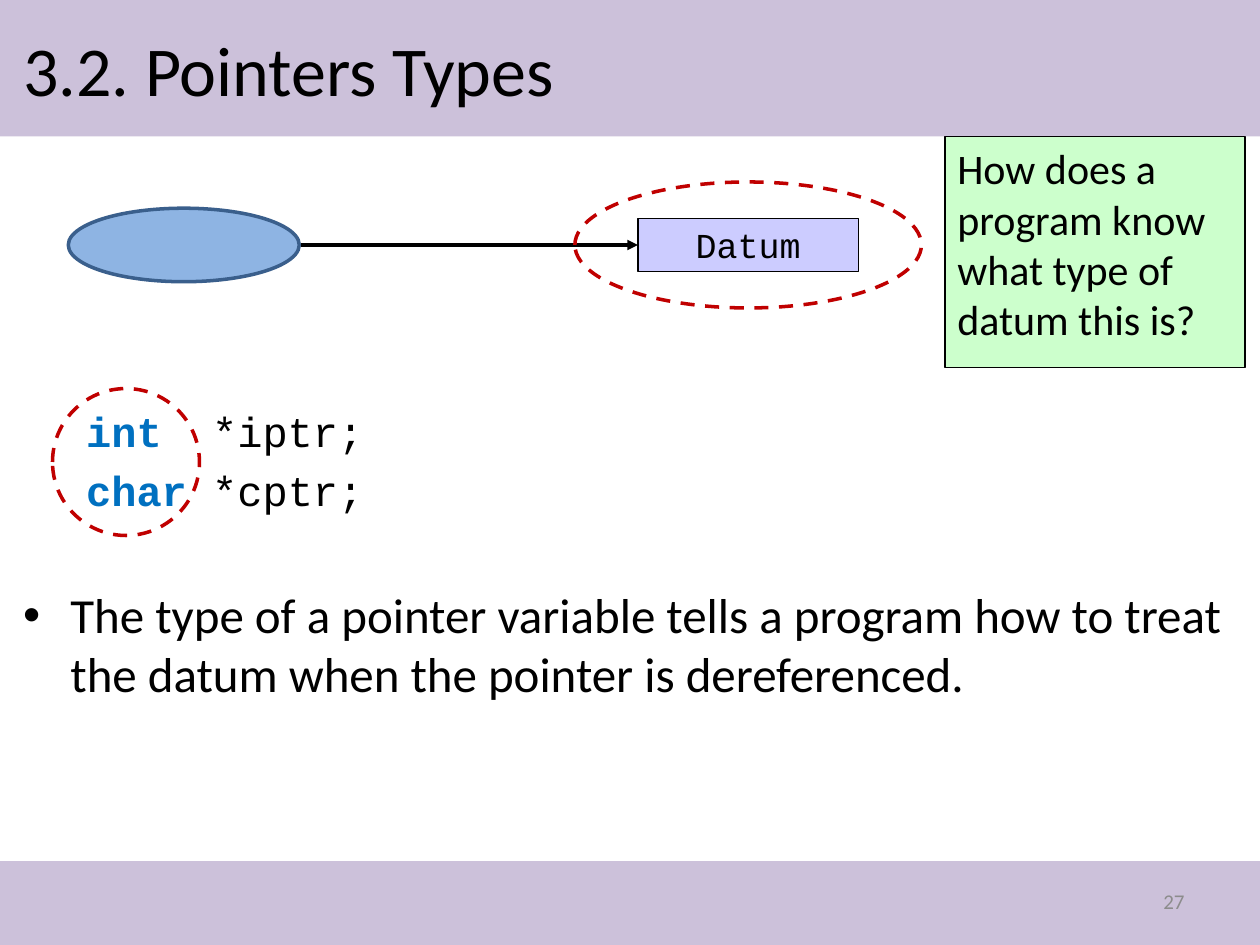
import lxml.etree
import pptx
import pptx.dml.color
import pptx.enum.dml
import pptx.enum.shapes
import pptx.enum.text
import pptx.oxml.ns
import pptx.util

Pt = pptx.util.Pt
SHAPE = pptx.enum.shapes.MSO_SHAPE
ALIGN = pptx.enum.text.PP_ALIGN
ANCHOR = pptx.enum.text.MSO_ANCHOR
BODY_FONT, CODE_FONT = "Calibri", "Courier New"
BLACK, BLUE, RED, LILAC = "000000", "0070C0", "C00000", "CCC1DA"


def rgb(value):
    return pptx.dml.color.RGBColor.from_string(value)


def add_child(parent, tag, **attributes):
    lxml.etree.SubElement(parent, pptx.oxml.ns.qn(tag), attributes)


def add_run(paragraph, text, size, font=BODY_FONT, color=BLACK, bold=False):
    run = paragraph.add_run()
    run.text = text
    run.font.size = Pt(size)
    run.font.name = font
    run.font.bold = bold
    run.font.color.rgb = rgb(color)


def place(shape, box):
    shape.left, shape.top, shape.width, shape.height = map(Pt, box)


def prepare_text(shape, anchor=ANCHOR.TOP, align=ALIGN.LEFT):
    """Set up wrapped text without autofit and return its first paragraph."""
    frame = shape.text_frame
    frame.word_wrap = True
    frame.auto_size = pptx.enum.text.MSO_AUTO_SIZE.NONE
    frame.vertical_anchor = anchor
    frame.paragraphs[0].alignment = align
    return frame.paragraphs[0]


def add_figure(slide, kind, box, fill=None, line=None, width=0.75, dashed=False):
    shape = slide.shapes.add_shape(kind, *map(Pt, box))
    shape.shadow.inherit = False
    if fill:
        shape.fill.solid()
        shape.fill.fore_color.rgb = rgb(fill)
    else:
        shape.fill.background()
    if line:
        shape.line.color.rgb = rgb(line)
        shape.line.width = Pt(width)
    else:
        shape.line.fill.background()
    if dashed:
        shape.line.dash_style = pptx.enum.dml.MSO_LINE.DASH
    return shape


def add_band(slide, box):
    band = add_figure(slide, SHAPE.RECTANGLE, box, LILAC)
    slide.shapes.element.insert(2, band.element)  # behind the placeholders


def fill_title(slide, box):
    title = slide.shapes.title
    place(title, box)
    add_run(prepare_text(title, ANCHOR.MIDDLE), "3.2. Pointers Types", 40)


def format_list_item(paragraph, level, margin, indent, space_before, bullet=None):
    paragraph.level = level
    paragraph.space_before = Pt(space_before)
    properties = paragraph._p.get_or_add_pPr()
    properties.set("marL", str(Pt(margin)))
    properties.set("indent", str(Pt(indent)))
    if bullet:
        add_child(properties, "a:buFont", typeface="Arial")
        add_child(properties, "a:buChar", char=bullet)
    else:
        add_child(properties, "a:buNone")


def fill_body(slide, box):
    body = slide.placeholders[1]
    place(body, box)
    paragraph = prepare_text(body)
    for keyword, variable in (("int  ", "*iptr;"), ("char", " *cptr;")):
        format_list_item(paragraph, 1, 58.5, -22.5, 5)
        add_run(paragraph, keyword, 24, CODE_FONT, BLUE, True)
        add_run(paragraph, variable, 24, CODE_FONT)
        paragraph = body.text_frame.add_paragraph()
    format_list_item(paragraph, 0, 27, -27, 40, "•")
    add_run(paragraph, "The type of a pointer variable tells a program how to treat "
            "the datum when the pointer is dereferenced.", 28)


def add_page_number(slide, box):
    number = slide.shapes.add_textbox(*map(Pt, box))
    add_run(prepare_text(number, ANCHOR.MIDDLE, ALIGN.RIGHT), "27", 12, color="8C8C8C")


def add_ring(slide, box):
    add_figure(slide, SHAPE.OVAL, box, line=RED, width=2, dashed=True)


def add_pointer_diagram(slide, box):
    """Pointer ellipse, arrow and ringed datum on one horizontal axis."""
    left, top, width, height = box
    middle = top + height / 2

    def centred(offset, part_width, part_height):
        return left + offset, middle - part_height / 2, part_width, part_height

    add_figure(slide, SHAPE.OVAL, centred(0, 132, 42), "8EB4E3", "3A5F8C", 2)
    datum = add_figure(slide, SHAPE.RECTANGLE, centred(325.5, 126, 30), "CCCCFF", BLACK)
    paragraph = prepare_text(datum, align=ALIGN.CENTER)
    frame = datum.text_frame
    frame.margin_left = frame.margin_right = Pt(7.2)
    frame.margin_top = frame.margin_bottom = Pt(7.2)
    paragraph.line_spacing = 0.8
    paragraph.space_before = Pt(4)
    add_run(paragraph, "Datum", 20, CODE_FONT)

    arrow = slide.shapes.add_connector(
        pptx.enum.shapes.MSO_CONNECTOR.STRAIGHT,
        Pt(left + 133), Pt(middle), Pt(left + 325.5), Pt(middle))
    arrow.end_connect(datum, 1)
    arrow.line.color.rgb = rgb(BLACK)
    arrow.line.width = Pt(2)
    properties = arrow.element.spPr
    add_child(properties.find(pptx.oxml.ns.qn("a:ln")), "a:tailEnd", type="triangle")
    add_child(properties, "a:effectLst")

    add_ring(slide, centred(width - 198, 198, height))


def add_question(slide, box):
    question = add_figure(slide, SHAPE.RECTANGLE, box, "CCFFCC", BLACK)
    add_run(prepare_text(question),
            "How does a program know what type of datum this is?", 24)


def main():
    presentation = pptx.Presentation()
    presentation.slide_width, presentation.slide_height = Pt(720), Pt(540)
    slide = presentation.slides.add_slide(presentation.slide_layouts[1])
    add_band(slide, (0, 0, 720, 78))
    add_band(slide, (0, 492, 720, 48))
    fill_title(slide, (6, 6, 708, 66))
    fill_body(slide, (6, 228, 703, 258))
    add_page_number(slide, (516, 500.5, 168, 28.75))
    add_pointer_diagram(slide, (39, 104, 487.5, 72))
    add_question(slide, (540, 78, 171.5, 132))
    add_ring(slide, (30, 222, 84, 84))
    presentation.save("out.pptx")


if __name__ == "__main__":
    main()
